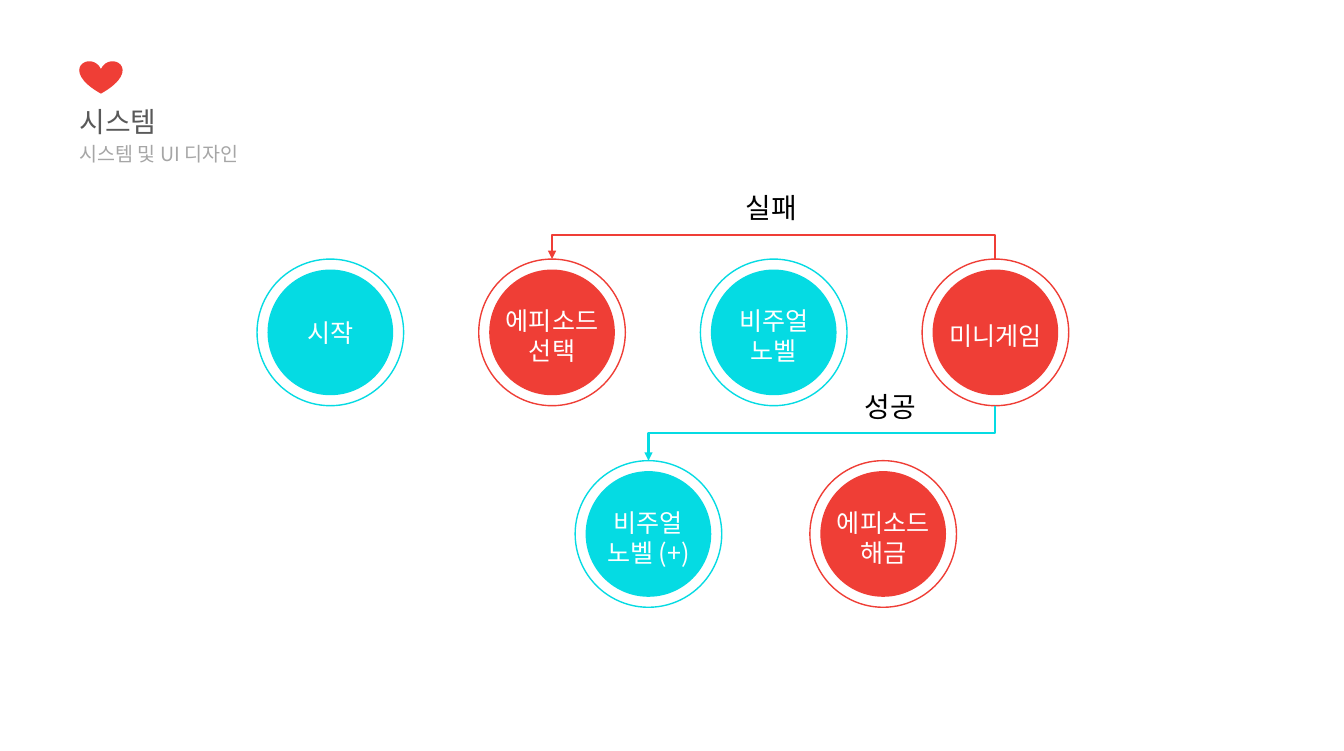
from lxml import etree
from pptx import Presentation
from pptx.dml.color import RGBColor
from pptx.enum import shapes, text
from pptx.oxml import ns
from pptx.util import Cm, Pt

FONT = "Noto Sans CJK KR"
COLORS = {"cyan": "05DBE3", "red": "EF3E36", "title": "595959",
          "subtitle": "A6A6A6", "white": "FFFFFF", "black": "000000"}

# Lengths in cm
SLIDE = (34.01, 19)
RING, DISC = 3.71, 3.18
FIRST_X, STEP_X = 8.36, 5.61
ROW_Y = (8.41, 13.51)
FAIL_RAIL = 5.94

# Lines, colour, centre x, row, downward shift of the text
STAGES = [
    (["시작"], "cyan", FIRST_X, 0, 0),
    (["에피소드", "선택"], "red", FIRST_X + STEP_X, 0, 0.08),
    (["비주얼", "노벨"], "cyan", FIRST_X + 2 * STEP_X, 0, 0.08),
    (["미니게임"], "red", FIRST_X + 3 * STEP_X, 0, 0.08),
    (["비주얼", "노벨 (+)"], "cyan", 16.41, 1, 0.08),
    (["에피소드", "해금"], "red", 22.35, 1, 0.08),
]
# Words, left, top, width, height, size, colour, alignment, margin, line spacing
LABELS = [
    ("시스템", 2.01, 2.74, 30.02, 0.76, 20, "title", "LEFT", (0, 0), 0.9),
    ("시스템 및 UI 디자인", 2.01, 3.66, 30.02, 0.53, 14, "subtitle", "LEFT", (0, 0), 0.9),
    ("실패", 18.62, 4.7, 2.79, 1.11, 20, "black", "LEFT", (0.25, 0.13), 1),
    ("성공", 21.13, 9.73, 2.79, 1.11, 20, "black", "CENTER", (0.25, 0.13), 1),
]


def rgb(name):
    return RGBColor.from_string(COLORS[name])


def write(frame, lines, size, color, align="CENTER", spacing=1):
    for index, line in enumerate(lines):
        para = frame.paragraphs[0] if index == 0 else frame.add_paragraph()
        para.alignment = getattr(text.PP_ALIGN, align)
        para.line_spacing = spacing
        span = para.add_run()
        span.text = line
        span.font.color.rgb = rgb(color)
        for name, value in {"size": Pt(size), "name": FONT}.items():
            setattr(span.font, name, value)
        etree.SubElement(span.font._element, ns.qn("a:ea"), typeface=FONT)


def add_plain(page, kind, left, top, width, height, fill=None, line=None):
    shape = page.shapes.add_shape(kind, Cm(left), Cm(top), Cm(width), Cm(height))
    shape.shadow.inherit = False
    if fill:
        shape.fill.solid()
        shape.fill.fore_color.rgb = rgb(fill)
    else:
        shape.fill.background()
    if line:
        shape.line.color.rgb = rgb(line)
        shape.line.width = Pt(1)
    else:
        shape.line.fill.background()
    return shape


def add_circle(page, x, y, size, **style):
    return add_plain(page, shapes.MSO_SHAPE.OVAL, x - size / 2, y - size / 2,
                     size, size, **style)


def add_stage(page, lines, color, x, row, drop):
    add_circle(page, x, ROW_Y[row], RING, line=color)
    frame = add_circle(page, x, ROW_Y[row], DISC, fill=color).text_frame
    layout = {"margin_left": 0, "margin_right": 0, "margin_bottom": 0,
              "margin_top": Cm(2 * drop), "word_wrap": False,
              "vertical_anchor": text.MSO_ANCHOR.MIDDLE}
    for name, value in layout.items():
        setattr(frame, name, value)
    write(frame, lines, 18, color="white")


def add_label(page, words, left, top, width, height, size, color, align, margin, spacing):
    frame = page.shapes.add_textbox(Cm(left), Cm(top), Cm(width), Cm(height)).text_frame
    across, down = map(Cm, margin)
    layout = {"margin_left": across, "margin_right": across, "margin_top": down,
              "margin_bottom": down, "word_wrap": True}
    for name, value in layout.items():
        setattr(frame, name, value)
    write(frame, [words], size, color, align, spacing)


def add_return_arrow(page, start, end, rail, color):
    """Run vertically from start to the rail, left along it, then to end."""
    (x1, y1), (x2, y2) = start, end
    width, height = abs(y2 - y1), x1 - x2
    left, top = (x1 + x2 - width) / 2, (y1 + y2 - height) / 2
    arrow = page.shapes.add_connector(shapes.MSO_CONNECTOR.ELBOW, Cm(left), Cm(top),
                                      Cm(left + width), Cm(top + height))
    arrow.line.color.rgb = rgb(color)
    arrow.line.width = Pt(1.5)
    props = arrow._element.spPr
    turn = props.find(ns.qn("a:xfrm"))
    turn.set("rot", str((90 if y2 > y1 else 270) * 60000))
    if y2 < y1:
        turn.set("flipV", "1")
    bend = round((rail - y1) / (y2 - y1) * 100000)
    guides = props.find(ns.qn("a:prstGeom")).get_or_add_avLst()
    etree.SubElement(guides, ns.qn("a:gd"), name="adj1", fmla=f"val {bend}")
    etree.SubElement(arrow.line._get_or_add_ln(), ns.qn("a:tailEnd"), type="triangle")
    etree.SubElement(props, ns.qn("a:effectLst"))


def main():
    deck = Presentation()
    deck.slide_width, deck.slide_height = map(Cm, SLIDE)
    page = deck.slides.add_slide(deck.slide_layouts[6])
    add_plain(page, shapes.MSO_SHAPE.HEART, 2.01, 1.54, 1.09, 0.83, fill="red")
    for stage in STAGES:
        add_stage(page, *stage)

    game_x, select_x, novel_x = STAGES[3][2], STAGES[1][2], STAGES[4][2]
    top, bottom = ROW_Y[0] - RING / 2, ROW_Y[0] + RING / 2
    below = ROW_Y[1] - RING / 2
    add_return_arrow(page, (game_x, top + 0.03), (select_x, top), FAIL_RAIL, "red")
    add_return_arrow(page, (game_x, bottom), (novel_x, below), (bottom + below) / 2, "cyan")
    for label in LABELS:
        add_label(page, *label)
    deck.save("out.pptx")


if __name__ == "__main__":
    main()
